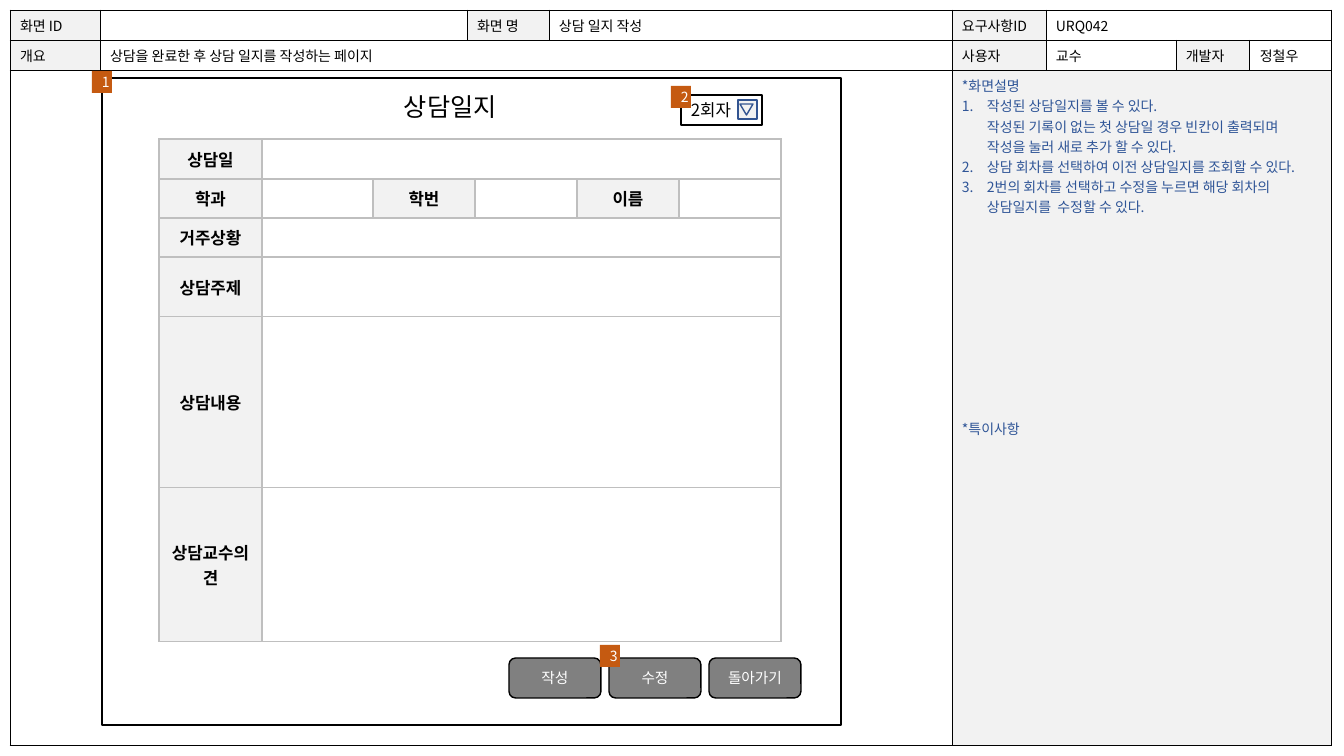
from lxml import etree
from pptx import Presentation
from pptx.dml.color import RGBColor
from pptx.enum.shapes import MSO_SHAPE
from pptx.enum.text import MSO_ANCHOR, MSO_AUTO_SIZE, PP_ALIGN
from pptx.oxml.ns import qn
from pptx.util import Pt

PX = 914400 / 100.8
FONT = "Noto Sans CJK KR"
BLACK = RGBColor(0x00, 0x00, 0x00)
WHITE = RGBColor(0xFF, 0xFF, 0xFF)
LIGHT = RGBColor(0xF2, 0xF2, 0xF2)
SILVER = RGBColor(0xBF, 0xBF, 0xBF)
GRAY = RGBColor(0x80, 0x80, 0x80)
NAVY = RGBColor(0x32, 0x54, 0x91)
BLUE = RGBColor(0x2F, 0x55, 0x97)
ORANGE = RGBColor(0xC5, 0x5A, 0x11)
RECT, ROUNDED = MSO_SHAPE.RECTANGLE, MSO_SHAPE.ROUNDED_RECTANGLE
TRIANGLE = MSO_SHAPE.ISOSCELES_TRIANGLE
LEFT, CENTER = PP_ALIGN.LEFT, PP_ALIGN.CENTER
TOP, MIDDLE = MSO_ANCHOR.TOP, MSO_ANCHOR.MIDDLE

# Each header entry: (row, column, last column, text, is a label)
HEADER = [
    (0, 0, 0, "화면 ID", True), (0, 1, 1, "", False),
    (0, 2, 2, "화면 명", True), (0, 3, 3, "상담 일지 작성", False),
    (0, 4, 4, "요구사항ID", True), (0, 5, 7, "URQ042", False),
    (1, 0, 0, "개요", True),
    (1, 1, 3, "상담을 완료한 후 상담 일지를 작성하는 페이지", False),
    (1, 4, 4, "사용자", True), (1, 5, 5, "교수", False),
    (1, 6, 6, "개발자", True), (1, 7, 7, "정철우", False),
    (2, 0, 3, "", False), (2, 4, 7, "", True),
]
STEPS = [
    ["작성된 상담일지를 볼 수 있다.",
     "작성된 기록이 없는 첫 상담일 경우 빈칸이 출력되며",
     "작성을 눌러 새로 추가 할 수 있다."],
    ["상담 회차를 선택하여 이전 상담일지를 조회할 수 있다."],
    ["2번의 회차를 선택하고 수정을 누르면 해당 회차의 상담일지를  수정할 수 있다."],
]
FORM_ROWS = [["상담일"], ["학과", "학번", "이름"], ["거주상황"],
             ["상담주제"], ["상담내용"], ["상담교수의견"]]


def px(n):
    """Turn pixels into EMU."""
    return round(n * PX)


def add_run(p, text, size, color, bold=False):
    """Append one formatted run to a paragraph."""
    r = p.add_run()
    r.text = text
    f = r.font
    f.name, f.size, f.bold = FONT, Pt(size), bold
    f.color.rgb = color
    etree.SubElement(r._r.get_or_add_rPr(), qn("a:ea"), typeface=FONT)


def add_box(slide, kind, box, fill, line=None, text="", size=10, color=WHITE,
            align=CENTER):
    """Add a preset shape with an optional outline and label."""
    sp = slide.shapes.add_shape(kind, *map(px, box))
    sp.shadow.inherit = False
    sp.fill.solid()
    sp.fill.fore_color.rgb = fill
    if line is None:
        sp.line.fill.background()
    else:
        sp.line.color.rgb = line
        sp.line.width = Pt(1)
    if text:
        tf = sp.text_frame
        tf.vertical_anchor = MIDDLE
        p = tf.paragraphs[0]
        p.alignment = align
        add_run(p, text, size, color)
    return sp


def add_grid(slide, left, top, widths, heights, color, weight):
    """Add a plain table whose cells all have the same border."""
    shape = slide.shapes.add_table(len(heights), len(widths), px(left), px(top),
                                   px(sum(widths)), px(sum(heights)))
    table = shape.table
    table.first_row = table.horz_banding = False
    for col, width in zip(table.columns, widths):
        col.width = px(width)
    for row, height in zip(table.rows, heights):
        row.height = px(height)
    for cell in table.iter_cells():
        tcPr = cell._tc.get_or_add_tcPr()
        for side in ("a:lnL", "a:lnR", "a:lnT", "a:lnB"):
            ln = etree.SubElement(tcPr, qn(side), w=str(Pt(weight)))
            solid = etree.SubElement(ln, qn("a:solidFill"))
            etree.SubElement(solid, qn("a:srgbClr"), val=str(color))
        # Keeps empty cells from growing their row
        p = cell.text_frame.paragraphs[0]
        etree.SubElement(p._p, qn("a:endParaRPr"), sz="1000")
        fill_cell(cell, WHITE)
    return table


def fill_cell(cell, color):
    """Give a cell a solid fill."""
    cell.fill.solid()
    cell.fill.fore_color.rgb = color


def write_cell(cell, text, size, fill, bold=False, align=LEFT, anchor=TOP):
    """Fill a cell and write its text."""
    fill_cell(cell, fill)
    cell.vertical_anchor = anchor
    p = cell.text_frame.paragraphs[0]
    p.alignment = align
    if text:
        add_run(p, text, size, BLACK, bold)


def write_notes(cell):
    """Write the numbered screen description and the remarks heading."""
    tf = cell.text_frame
    add_run(tf.paragraphs[0], "*화면설명", 10, BLUE)
    for lines in STEPS:
        p = tf.add_paragraph()
        pPr = p._p.get_or_add_pPr()
        pPr.set("marL", str(px(25)))
        pPr.set("indent", str(-px(25)))
        etree.SubElement(pPr, qn("a:buAutoNum"), type="arabicPeriod")
        for i, line in enumerate(lines):
            if i:
                p.add_line_break()
            add_run(p, line, 10, BLUE)
    p = tf.add_paragraph()
    p.space_before = Pt(144)
    add_run(p, "*특이사항", 10, BLUE)


def add_header(slide):
    """Add the specification table that frames the slide."""
    table = add_grid(slide, 10, 10, [90, 367, 82, 403, 94, 130, 74, 82],
                     [30, 30, 675], BLACK, 0.5)
    for row, col, last, text, label in HEADER:
        cell = table.cell(row, col)
        if last > col:
            cell.merge(table.cell(row, last))
        write_cell(cell, text, 10, LIGHT if label else WHITE)
    write_notes(table.cell(2, 4))


def add_form(slide):
    """Add the counselling log form."""
    table = add_grid(slide, 159, 139, [103, 111] + [102] * 4,
                     [40, 39, 39, 60, 171, 154], SILVER, 1)
    for row, labels in enumerate(FORM_ROWS):
        for i, label in enumerate(labels):
            write_cell(table.cell(row, 2 * i), label, 12, LIGHT, True,
                       CENTER, MIDDLE)
        if len(labels) == 1:
            table.cell(row, 1).merge(table.cell(row, 5))


def add_title(slide, text):
    """Add the heading of the form."""
    tf = slide.shapes.add_textbox(*map(px, (394, 86, 122, 40))).text_frame
    tf.word_wrap = False
    tf.auto_size = MSO_AUTO_SIZE.SHAPE_TO_FIT_TEXT
    add_run(tf.paragraphs[0], text, 18, BLACK)


def add_round_picker(slide):
    """Add the drop-down that selects a counselling round."""
    add_box(slide, RECT, (681, 95, 81, 30), WHITE, BLACK, "2회자", 12, BLACK, LEFT)
    add_box(slide, RECT, (738, 100, 19, 19), LIGHT, NAVY)
    add_box(slide, TRIANGLE, (740, 104, 13, 11), LIGHT, NAVY).rotation = 180


def main():
    """Build the screen specification slide."""
    prs = Presentation()
    prs.slide_width, prs.slide_height = px(1344), px(756)
    slide = prs.slides.add_slide(prs.slide_layouts[6])
    add_header(slide)
    add_box(slide, RECT, (102, 78, 739, 647), WHITE, BLACK)
    add_title(slide, "상담일지")
    add_form(slide)
    for i, label in enumerate(["작성", "수정", "돌아가기"]):
        add_box(slide, ROUNDED, (509 + 100 * i, 658, 92, 40), GRAY, BLACK,
                label, 10.5)
    add_round_picker(slide)
    for i, (left, top) in enumerate([(92, 71), (671, 86), (600, 645)], 1):
        add_box(slide, RECT, (left, top, 20, 22), ORANGE, text=str(i))
    prs.save("out.pptx")


main()
